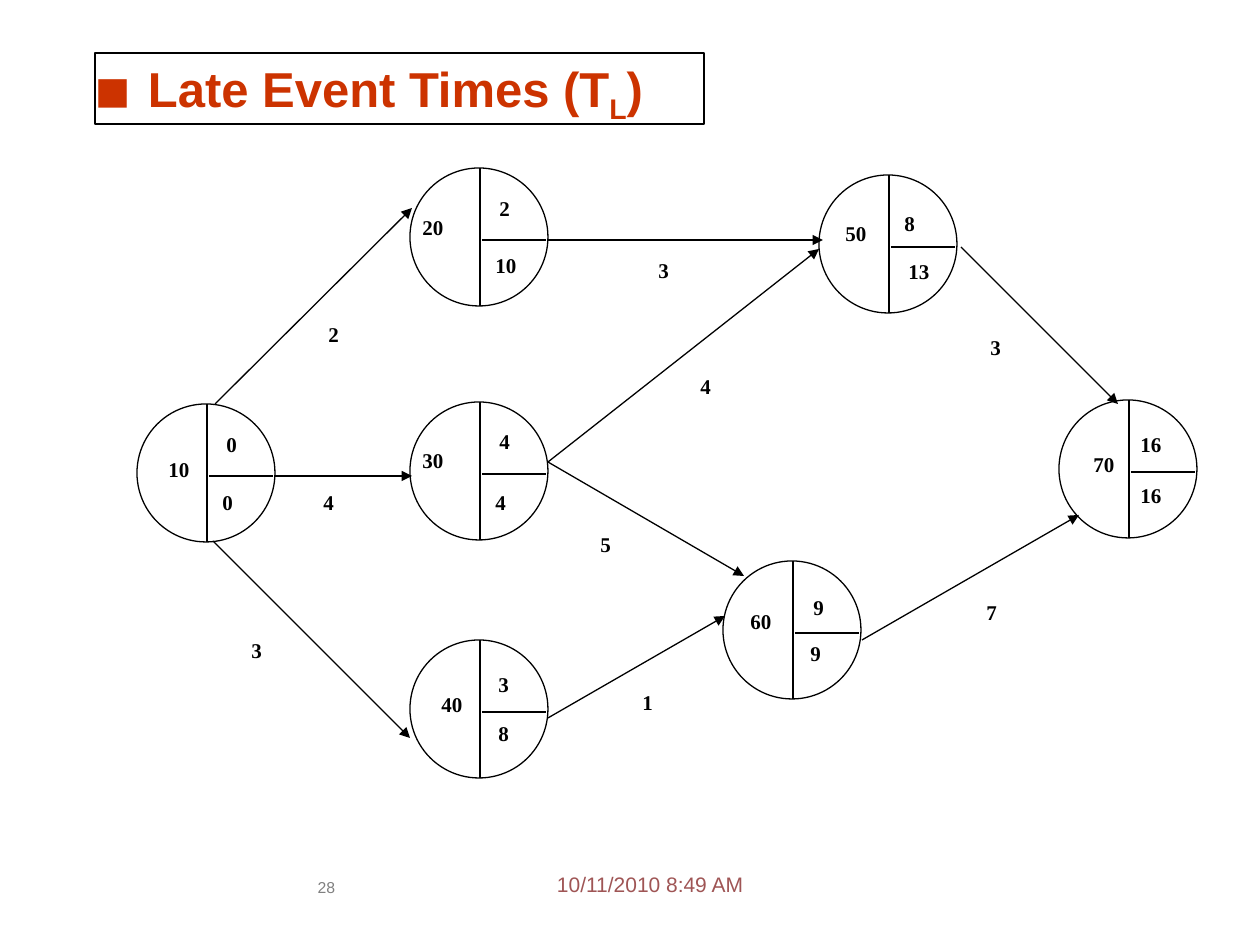
from pptx import Presentation
from pptx.dml.color import RGBColor
from pptx.enum.shapes import MSO_CONNECTOR as Connector, MSO_SHAPE as Shape
from pptx.enum.text import MSO_ANCHOR as Anchor, MSO_AUTO_SIZE as AutoSize, PP_ALIGN as Align
from pptx.util import Emu, Pt
from lxml import etree

SCALE = 914400 / 126
NS = "http://schemas.openxmlformats.org/drawingml/2006/main"
NODE, SPLIT = 138, 70
BLACK, WHITE, RED = "000000", "FFFFFF", "CC3300"


def px(*values):
    return [Emu(round(value * SCALE)) for value in values]


def color(value):
    return RGBColor.from_string(value)


deck = Presentation()
deck.slide_width, deck.slide_height = px(1260, 945)
page = deck.slides.add_slide(deck.slide_layouts[5])

# Title with a square bullet
title = page.shapes.title
title.left, title.top, title.width, title.height = px(95, 53, 609, 71)
title.fill.solid()
title.fill.fore_color.rgb = color(WHITE)
title.line.color.rgb = color(BLACK)
title.line.width = Pt(0.75)
frame = title.text_frame
frame.auto_size = AutoSize.NONE
frame.vertical_anchor = Anchor.TOP
frame.margin_left, frame.margin_top, frame.margin_right, frame.margin_bottom = px(0, 5, 0, 0)
para = frame.paragraphs[0]
para.alignment = Align.LEFT
props = para._p.get_or_add_pPr()
indent = px(53)[0]
props.set("marL", str(indent))
props.set("indent", str(-indent))
bullet_color = etree.SubElement(props, f"{{{NS}}}buClr")
etree.SubElement(bullet_color, f"{{{NS}}}srgbClr", val=RED)
etree.SubElement(props, f"{{{NS}}}buSzPct", val="120000")
etree.SubElement(props, f"{{{NS}}}buFont", typeface="Arial")
etree.SubElement(props, f"{{{NS}}}buChar", char="■")
for text in ("Late Event Times (T", "L", ")"):
    span = para.add_run()
    span.text = text
    span.font.name, span.font.size, span.font.bold = "Arial", Pt(28), True
    span.font.color.rgb = color(RED)
    if text == "L":
        span.font._element.set("baseline", "-25000")

# Events: circle corner, then name, early time and late time with their places
events = [
    (410, 168, ("20", 410, 208), ("2", 487, 189), ("10", 483, 246)),
    (137, 404, ("10", 156, 450), ("0", 214, 425), ("0", 210, 483)),
    (410, 402, ("30", 410, 441), ("4", 487, 422), ("4", 483, 483)),
    (819, 175, ("50", 833, 214), ("8", 892, 204), ("13", 896, 252)),
    (410, 640, ("40", 429, 685), ("3", 486, 665), ("8", 486, 714)),
    (723, 561, ("60", 738, 602), ("9", 801, 588), ("9", 798, 634)),
    (1059, 400, ("70", 1081, 445), ("16", 1128, 425), ("16", 1128, 476)),
]

# Activities: start, end, then duration with its label box
activities = [
    (275, 476, 412, 476, "4", 311, 483, 45, 39),
    (215, 404, 412, 208, "2", 316, 315, 50, 39),
    (213, 541, 410, 738, "3", 239, 631, 44, 40),
    (548, 718, 725, 616, "1", 630, 683, 42, 43),
    (548, 462, 819, 249, "4", 688, 367, 47, 43),
    (548, 240, 823, 240, "3", 646, 251, 37, 33),
    (548, 462, 744, 576, "5", 588, 525, 44, 33),
    (862, 640, 1079, 515, "7", 974, 593, 44, 37),
    (961, 247, 1118, 404, "3", 978, 328, 52, 39),
]

# Circles, each split into a name half and two time quarters
lines = []
for left, top, *_ in events:
    circle = page.shapes.add_shape(Shape.OVAL, *px(left, top, NODE, NODE))
    circle.shadow.inherit = False
    circle.fill.solid()
    circle.fill.fore_color.rgb = color(WHITE)
    circle.line.color.rgb = color(BLACK)
    circle.line.width = Pt(0.75)
    middle, split = left + SPLIT, top + 72
    lines += [(middle, top, middle, top + NODE, False),
              (middle + 2, split, left + NODE - 2, split, False)]
lines += [(*activity[:4], True) for activity in activities]

# Dividers and activity arrows
for *ends, is_arrow in lines:
    line = page.shapes.add_connector(Connector.STRAIGHT, *px(*ends))
    line.line.color.rgb = color(BLACK)
    line.line.width = Pt(0.75)
    if is_arrow:
        etree.SubElement(line.line._get_or_add_ln(), f"{{{NS}}}tailEnd", type="triangle")
    etree.SubElement(line._element.spPr, f"{{{NS}}}effectLst")

# Durations, event names and times
labels = [(*activity[4:], WHITE) for activity in activities]
for _, _, name, early, late in events:
    labels += [(*name, 59, 59, None), (*early, 59, 59, None), (*late, 49, 45, None)]
for text, left, top, width, height, fill in labels:
    box = page.shapes.add_textbox(*px(left, top, width, height))
    if fill:
        box.fill.solid()
        box.fill.fore_color.rgb = color(fill)
    box.text_frame.word_wrap = True
    box.text_frame.text = text
    para = box.text_frame.paragraphs[0]
    para.alignment = Align.JUSTIFY
    font = para.runs[0].font
    font.name, font.size, font.bold = "Times New Roman", Pt(12), True
    font.color.rgb = color(BLACK)

# Footer: date and page number
for text, left, top, width, height, size, tint, align in [
    ("10/11/2010 8:49 AM", 557, 872, 210, 32, 12, "9F5555", Align.LEFT),
    ("28", 302, 878, 49, 43, 9, "808080", Align.CENTER),
]:
    box = page.shapes.add_textbox(*px(left, top, width, height))
    frame = box.text_frame
    frame.word_wrap = True
    frame.margin_left = frame.margin_top = frame.margin_right = frame.margin_bottom = 0
    frame.text = text
    para = frame.paragraphs[0]
    para.alignment = align
    font = para.runs[0].font
    font.name, font.size = "Arial", Pt(size)
    font.color.rgb = color(tint)

deck.save("out.pptx")
